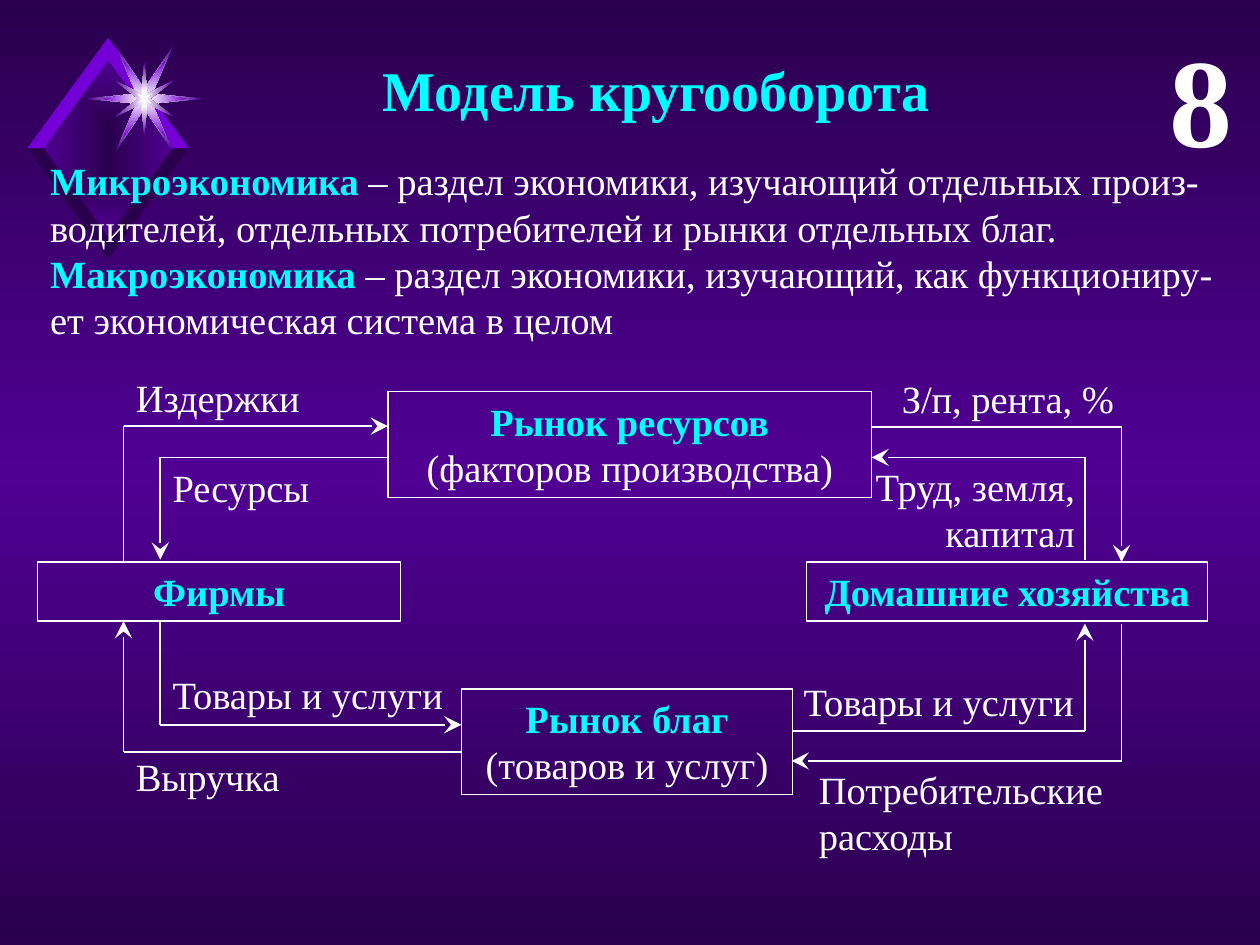
import pptx
import pptx.dml.color
import pptx.enum.shapes
import pptx.enum.text
import pptx.oxml
import pptx.oxml.ns
import pptx.util
from pptx.util import Cm

COLORS = {"cyan": "00FFFF", "white": "FFFFFF", "dark": "2A004E", "violet": "500093",
          "bright": "7500D7", "core": "F9F9F9"}
RGB = {name: pptx.dml.color.RGBColor.from_string(value) for name, value in COLORS.items()}
ALIGN = pptx.enum.text.PP_ALIGN
LEFT, CENTER, RIGHT = ALIGN.LEFT, ALIGN.CENTER, ALIGN.RIGHT
NS = pptx.oxml.ns.nsdecls("a")


def paint(fill, owner, colors, direction):
    """Fill with one solid colour, or with evenly spaced gradient stops."""
    if len(colors) == 1:
        fill.solid()
        fill.fore_color.rgb = RGB[colors[0]]
        return
    fill.gradient()
    gradient = next(owner.iter(pptx.oxml.ns.qn("a:gradFill")))
    stops = "".join(
        f'<a:gs pos="{100000 * i // (len(colors) - 1)}"><a:srgbClr val="{COLORS[color]}"/></a:gs>'
        for i, color in enumerate(colors))
    gradient.getparent().replace(gradient, pptx.oxml.parse_xml(
        f'<a:gradFill {NS} rotWithShape="1"><a:gsLst>{stops}</a:gsLst>{direction}</a:gradFill>'))


def write(shape, paragraphs, align=LEFT, size=22):
    """Put paragraphs of (text, colour, bold) spans into a shape."""
    frame = shape.text_frame
    frame.word_wrap = True
    frame.auto_size = pptx.enum.text.MSO_AUTO_SIZE.SHAPE_TO_FIT_TEXT
    frame.vertical_anchor = pptx.enum.text.MSO_ANCHOR.TOP
    for i, spans in enumerate(paragraphs):
        para = frame.paragraphs[0] if i == 0 else frame.add_paragraph()
        para.alignment = align
        for text, color, bold in spans:
            span = para.add_run()
            span.text = text
            formats = {"name": "Times New Roman", "size": pptx.util.Pt(size), "bold": bold}
            for key, value in formats.items():
                setattr(span.font, key, value)
            span.font.color.rgb = RGB[color]


deck = pptx.Presentation()
deck.slide_width, deck.slide_height = Cm(25.4), Cm(19.05)
page = deck.slides.add_slide(deck.slide_layouts[6])
paint(page.background.fill, page._element, ["dark", "violet", "dark"],
      '<a:lin ang="5400000" scaled="0"/>')

# Emblem: a diamond with a bevelled frame, and a layered star
diamond_x, diamond_y = 2.18, 2.99
star_x, star_y = 2.91, 1.99
emblem = [([(diamond_x, diamond_y - 1.8), (diamond_x - 1.32, diamond_y),
            (diamond_x, diamond_y + 1.8), (diamond_x + 1.32, diamond_y)], ["dark", "violet"])]
for side_y, color in ((-1, "bright"), (1, "dark")):
    for side_x in (1, -1):
        bevel = [(0, 1.78), (0, 2.23), (1.63, 0), (1.3, 0)]
        emblem.append(([(diamond_x + side_x * x, diamond_y + side_y * y) for x, y in bevel],
                       [color]))

# Each star is one quadrant, mirrored into the other three
star_layers = [
    ([(1.16, 0), (0.16, 0.1), (0.57, 1.05), (0, 0.2)], ["white", "violet"]),
    ([(0.85, 0), (0.16, 0.1), (0.42, 0.77), (0, 0.2)], ["white", "bright"]),
    ([(0.12, 0), (0.6, 0.37), (0.06, 0.1), (0, 0.74)], ["white", "violet"]),
    ([(0.06, 0), (0.14, 0.1), (0.03, 0.05), (0, 0.18)], ["core"]),
]
for quadrant, colors in star_layers:
    points = []
    for side_x, side_y, step in ((1, 1, 1), (-1, 1, -1), (-1, -1, 1), (1, -1, -1)):
        points += [(star_x + side_x * x, star_y + side_y * y) for x, y in quadrant[::step]]
    emblem.append((points, colors))

for points, colors in emblem:
    corners = [(Cm(x), Cm(y)) for x, y in points]
    builder = page.shapes.build_freeform(*corners[0])
    builder.add_line_segments(corners[1:], close=True)
    piece = builder.convert_to_shape()
    piece.shadow.inherit = False
    piece.line.fill.background()
    paint(piece.fill, piece._element, colors,
          '<a:path path="rect"><a:fillToRect l="50000" t="50000" r="50000" b="50000"/></a:path>')

# Boxes of the circular flow
nodes = [
    ((0.76, 11.33, 7.32, 1.19), "Фирмы", None),
    ((16.26, 11.33, 8.08, 1.19), "Домашние хозяйства", None),
    ((9.3, 13.89, 6.68, 2.13), "Рынок благ", "(товаров и услуг)"),
    ((7.82, 7.9, 9.75, 2.13), "Рынок ресурсов", "(факторов производства)"),
]
for place, name, note in nodes:
    box = page.shapes.add_shape(pptx.enum.shapes.MSO_SHAPE.RECTANGLE, *map(Cm, place))
    box.shadow.inherit = False
    box.fill.background()
    box.line.color.rgb = RGB["white"]
    box.line.width = pptx.util.Pt(0.75)
    paragraphs = [[(name, "cyan", True)]]
    if note:
        paragraphs.append([(note, "white", False)])
    write(box, paragraphs, CENTER)

# Each flow runs through its corner points and ends in an arrowhead
flows = [
    [(2.49, 11.33), (2.49, 8.59), (7.82, 8.59)],
    [(7.82, 9.22), (3.23, 9.22), (3.23, 11.28)],
    [(17.56, 8.61), (22.61, 8.61), (22.61, 11.33)],
    [(21.87, 11.28), (21.87, 9.22), (17.57, 9.22)],
    [(3.23, 12.52), (3.23, 14.61), (9.3, 14.61)],
    [(9.3, 15.16), (2.49, 15.16), (2.49, 12.52)],
    [(15.96, 14.73), (21.87, 14.73), (21.87, 12.57)],
    [(22.61, 12.57), (22.61, 15.34), (15.96, 15.34)],
]
for flow in flows:
    for start, end in zip(flow, flow[1:]):
        line = page.shapes.add_connector(pptx.enum.shapes.MSO_CONNECTOR.STRAIGHT,
                                         *map(Cm, start + end))
        line.line.color.rgb = RGB["white"]
        line.line.width = pptx.util.Pt(1)
        if end == flow[-1]:
            line.line._get_or_add_ln().append(pptx.oxml.parse_xml(
                f'<a:tailEnd {NS} type="stealth" w="lg" len="lg"/>'))
        line._element.spPr.append(pptx.oxml.parse_xml(f"<a:effectLst {NS}/>"))

labels = [
    ((3.23, 13.41, 6.5, 1.19), ["Товары и услуги"], LEFT),
    ((15.95, 13.54, 6.6, 1.19), ["Товары и услуги"], LEFT),
    ((3.23, 9.22, 3.76, 1.19), ["Ресурсы"], LEFT),
    ((17.29, 9.2, 4.63, 2.13), ["Труд, земля,", "капитал"], RIGHT),
    ((2.49, 7.41, 4.47, 1.19), ["Издержки"], LEFT),
    ((2.49, 15.06, 4.47, 1.19), ["Выручка"], LEFT),
    ((16.26, 15.31, 6.38, 2.13), ["Потребительские", "расходы"], LEFT),
    ((17.93, 7.44, 5.18, 1.19), ["З/п, рента, %"], LEFT),
]
texts = [(place, [[(text, "white", False)] for text in lines], align, 22)
         for place, lines, align in labels]
definitions = [
    [("Микроэкономика", "cyan", True),
     (" – раздел экономики, изучающий отдельных произ-водителей, отдельных потребителей "
      "и рынки отдельных благ.", "white", False)],
    [("Макроэкономика ", "cyan", True),
     ("– раздел экономики, изучающий, как функциониру-ет экономическая система в целом",
      "white", False)],
]
texts += [
    ((2.79, 0.99, 20.88, 1.63), [[("Модель кругооборота", "cyan", True)]], CENTER, 32),
    ((21.92, 0.3, 3.18, 3.33), [[("8", "white", True)]], RIGHT, 72),
    ((0.76, 3.05, 24.33, 4.01), definitions, LEFT, 22),
]
for place, paragraphs, align, size in texts:
    write(page.shapes.add_textbox(*map(Cm, place)), paragraphs, align, size)

deck.save("out.pptx")
